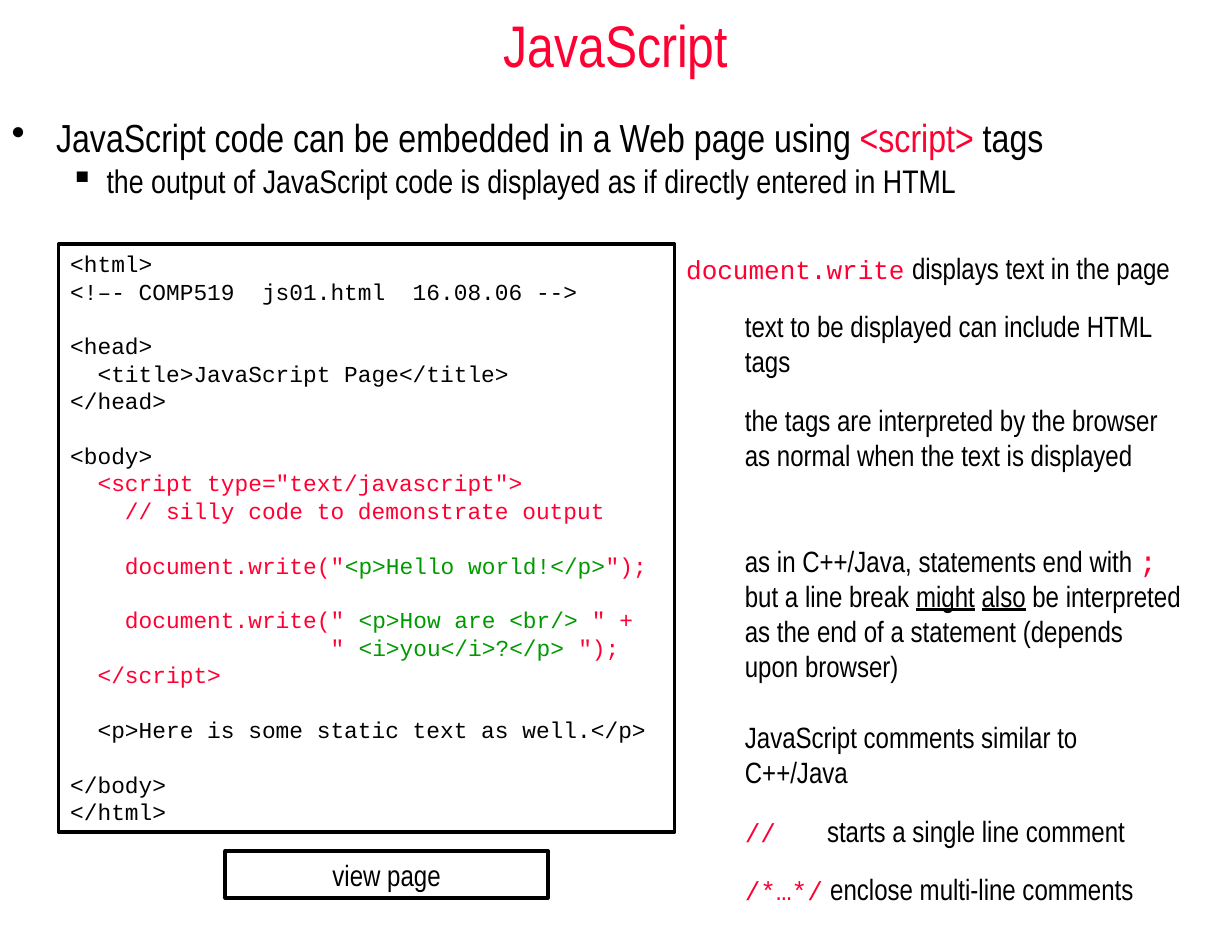
import lxml.etree
import pptx
import pptx.dml.color
import pptx.enum.shapes
import pptx.enum.text
import pptx.oxml.ns
import pptx.util

Inches = pptx.util.Inches
Pt = pptx.util.Pt

COLOURS = {"black": "000000", "red": "FF0033", "green": "009900"}
STYLES = {
    "title": ("Arial Narrow", 36, "red"),
    "point": ("Arial Narrow", 24, "black"),
    "tag": ("Arial Narrow", 24, "red"),
    "subpoint": ("Arial Narrow", 20, "black"),
    "note": ("Arial Narrow", 18, "black"),
    "stress": ("Arial Narrow", 18, "black"),
    "gap": ("Times New Roman", 18, "black"),
    "keyword": ("Courier New", 16, "red"),
    "symbol": ("Courier New", 18, "red"),
    "html": ("Courier New", 14, "black"),
    "script": ("Courier New", 14, "red"),
    "string": ("Courier New", 14, "green"),
}
CODE_PITCH = 16.8
NOTE_PITCH = 21.5

CODE = [
    [("<html>", "html")],
    [("<!–- COMP519  js01.html  16.08.06 -->", "html")],
    [],
    [("<head>", "html")],
    [("  <title>JavaScript Page</title>", "html")],
    [("</head>", "html")],
    [],
    [("<body>", "html")],
    [('  <script type="text/javascript">', "script")],
    [("    // silly code to demonstrate output", "script")],
    [],
    [('    document.write("', "script"), ("<p>Hello world!</p>", "string"), ('");', "script")],
    [],
    [('    document.write(" ', "script"), ("<p>How are <br/> ", "string"), ('" +', "script")],
    [('                   " ', "script"), ("<i>you</i>?</p> ", "string"), ('");', "script")],
    [("  </script>", "script")],
    [],
    [("  <p>Here is some static text as well.</p>", "html")],
    [],
    [("</body>", "html")],
    [("</html>", "html")],
]

NOTES = [
    (0, 0, 0, [("document.write", "keyword"), (" ", "gap"),
               ("displays text in the page", "note")]),
    (14.5, 0.5, 0, [("text to be displayed can include HTML tags", "note")]),
    (14.5, 0.5, 0, [("the tags are interpreted by the browser as normal "
                     "when the text is displayed", "note")]),
    (43.5, 0.5, 0, [("as in C++/Java, statements end with ", "note"), (";", "symbol")]),
    (0, 0.5, 0, [("but a line break ", "note"), ("might", "stress"), (" ", "note"),
                 ("also", "stress"),
                 (" be interpreted as the end of a statement (depends upon browser)", "note")]),
    (22, 0.5, 0, [("JavaScript comments similar to C++/Java", "note")]),
    (14.5, 1.2, -0.7, [("//", "keyword"), ("\t", "gap"),
                       ("starts a single line comment", "note")]),
    (14.5, 0.5, 0, [("/*…*/", "keyword"), (" ", "gap"),
                    ("enclose multi-line comments", "note")]),
]


def colour(name):
    """Return the named colour as an RGB value."""
    return pptx.dml.color.RGBColor.from_string(COLOURS[name])


def add_text_box(page, left, top, width, height):
    """Add a wrapping text box and return its text frame."""
    box = page.shapes.add_textbox(Inches(left), Inches(top), Inches(width), Inches(height))
    box.text_frame.word_wrap = True
    return box.text_frame


def add_outlined_box(page, left, top, width, height):
    """Add an unfilled black frame and return its text frame."""
    box = page.shapes.add_shape(pptx.enum.shapes.MSO_SHAPE.RECTANGLE, Inches(left),
                                Inches(top), Inches(width), Inches(height))
    box.shadow.inherit = False
    box.fill.background()
    box.line.color.rgb = colour("black")
    box.line.width = Pt(2.25)
    box.text_frame.word_wrap = True
    box.text_frame.vertical_anchor = pptx.enum.text.MSO_ANCHOR.TOP
    return box.text_frame


def add_paragraph(frame, spans, before=0, pitch=None, centred=False):
    """Write styled spans as the next paragraph of a frame."""
    paragraph = frame.paragraphs[0]
    if paragraph.runs:
        paragraph = frame.add_paragraph()
    align = pptx.enum.text.PP_ALIGN
    paragraph.alignment = align.CENTER if centred else align.LEFT
    if before:
        paragraph.space_before = Pt(before)
    if pitch:
        paragraph.line_spacing = pitch
    for text, style in spans:
        span = paragraph.add_run()
        span.text = text
        name, size, tint = STYLES[style]
        span.font.name = name
        span.font.size = Pt(size)
        span.font.color.rgb = colour(tint)
        if style == "stress":
            span.font.underline = True
    return paragraph


def set_indent(paragraph, left, first, bullet=None):
    """Set the left margin, the first-line indent and an optional bullet."""
    properties = paragraph._p.get_or_add_pPr()
    properties.set("marL", str(Inches(left)))
    properties.set("indent", str(Inches(first)))
    if bullet:
        tint = lxml.etree.SubElement(properties, pptx.oxml.ns.qn("a:buClr"))
        lxml.etree.SubElement(tint, pptx.oxml.ns.qn("a:srgbClr"), val=COLOURS["black"])
        lxml.etree.SubElement(properties, pptx.oxml.ns.qn("a:buChar"), char=bullet)


def add_heading(page):
    """Add the title and the two bullet points."""
    title = add_text_box(page, 0, 0, 10.5, 0.75)
    title.vertical_anchor = pptx.enum.text.MSO_ANCHOR.MIDDLE
    add_paragraph(title, [("JavaScript", "title")], centred=True)
    points = add_text_box(page, 0, 0.92, 10.5, 1.13)
    point = add_paragraph(points, [
        ("JavaScript code can be embedded in a Web page using ", "point"),
        ("<script>", "tag"), (" tags", "point")])
    set_indent(point, 0.38, -0.38, "•")
    subpoint = add_paragraph(points, [
        ("the output of JavaScript code is displayed as if directly entered in HTML",
         "subpoint")], before=5, pitch=0.8)
    subpoint.level = 1
    set_indent(subpoint, 0.81, -0.31, "▪")


def add_code(page):
    """Add the framed listing, with empty lines as paragraph spacing."""
    frame = add_outlined_box(page, 0.5, 2.08, 5.25, 5.01)
    before = 0
    for spans in CODE:
        if spans:
            add_paragraph(frame, spans, before, Pt(CODE_PITCH))
            before = 0
        else:
            before += CODE_PITCH


def add_notes(page):
    """Add the explanations beside the listing."""
    frame = add_text_box(page, 5.75, 2.08, 4.42, 5.4)
    for before, left, first, spans in NOTES:
        paragraph = add_paragraph(frame, spans, before, Pt(NOTE_PITCH))
        set_indent(paragraph, left, first)


def main():
    """Build the slide and save it."""
    deck = pptx.Presentation()
    deck.slide_width = Inches(10.5)
    deck.slide_height = Inches(8)
    page = deck.slides.add_slide(deck.slide_layouts[6])
    add_heading(page)
    add_code(page)
    add_notes(page)
    button = add_outlined_box(page, 1.92, 7.25, 2.75, 0.4)
    add_paragraph(button, [("view page", "note")], centred=True)
    deck.save("out.pptx")


if __name__ == "__main__":
    main()
